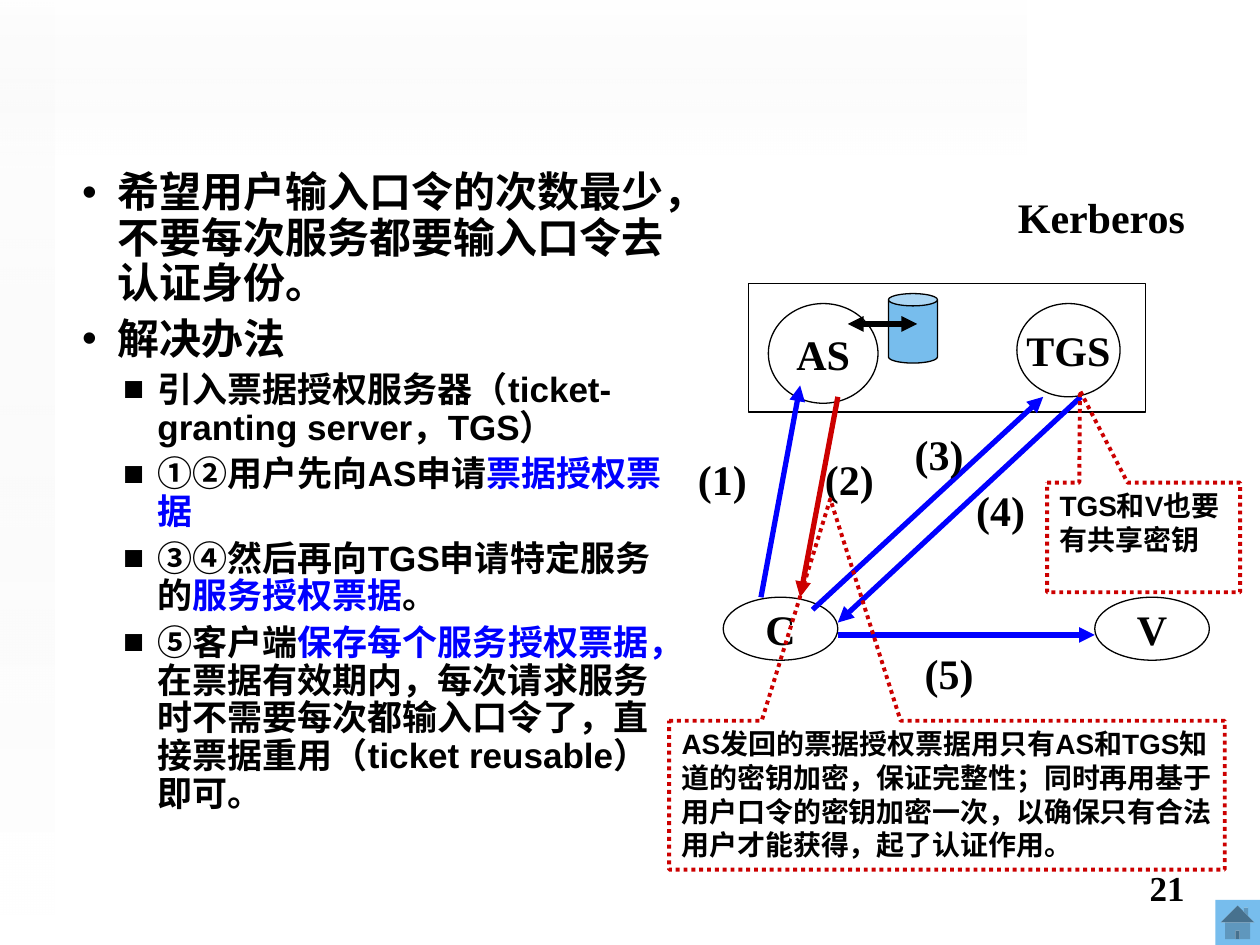
import pptx
import pptx.util
import pptx.dml.color
import pptx.enum.dml
import pptx.enum.lang
import pptx.enum.shapes
import pptx.enum.text
import pptx.oxml
import pptx.oxml.ns
from dataclasses import dataclass

Cm, Pt = pptx.util.Cm, pptx.util.Pt
Kind = pptx.enum.shapes.MSO_SHAPE
Align = pptx.enum.text.PP_ALIGN
Anchor = pptx.enum.text.MSO_ANCHOR
qn = pptx.oxml.ns.qn


@dataclass(frozen=True)
class Theme:
    black: str = "000000"
    white: str = "FFFFFF"
    gray: str = "EAEAEA"
    blue: str = "0000FF"
    red: str = "CC0000"
    sky: str = "77BDED"
    sans: str = "Arial"
    serif: str = "Times New Roman"
    big: int = 24
    mid: int = 20
    small: int = 16
    thin: float = 0.75
    dot: float = 2.25
    thick: float = 3


T = Theme()
POINTS = [
    (0, [("希望用户输入口令的次数最少，不要每次服务都要输入口令去认证身份。", T.black)]),
    (0, [("解决办法", T.black)]),
    (1, [("引入票据授权服务器（ticket-granting server，TGS）", T.black)]),
    (1, [("①②用户先向AS申请", T.black), ("票据授权票据", T.blue)]),
    (1, [("③④然后再向TGS申请特定服务的", T.black), ("服务授权票据", T.blue),
         ("。", T.black)]),
    (1, [("⑤客户端", T.black), ("保存每个服务授权票据，", T.blue),
         ("在票据有效期内，每次请求服务时不需要每次都输入口令了，"
          "直接票据重用（ticket reusable）即可。", T.black)]),
]


def rgb(code):
    return pptx.dml.color.RGBColor.from_string(code)


def node(tag, **attrs):
    item = pptx.oxml.parse_xml(f"<a:{tag} {pptx.oxml.ns.nsdecls('a')}/>")
    for key, val in attrs.items():
        item.set(key, val)
    return item


def apply(target, form):
    for key, val in form.items():
        setattr(target, key, val)


def span(box, left, top, wide, high):
    """Lengths of a part placed relative to the corner of box."""
    return Cm(box[0] + left), Cm(box[1] + top), Cm(wide), Cm(high)


def write(para, text, size, face, color=T.black):
    run = para.add_run()
    run.text = text
    apply(run.font, {"size": Pt(size), "name": face, "bold": True,
                     "language_id": pptx.enum.lang.MSO_LANGUAGE_ID.SIMPLIFIED_CHINESE})
    run.font.color.rgb = rgb(color)


def shape(slide, kind, place, fill=None, line=None, width=T.thin):
    item = slide.shapes.add_shape(kind, *place)
    item.shadow.inherit = False
    if fill:
        item.fill.solid()
        item.fill.fore_color.rgb = rgb(fill)
    else:
        item.fill.background()
    if line:
        item.line.color.rgb = rgb(line)
        item.line.width = Pt(width)
    else:
        item.line.fill.background()
    return item


def label(slide, place, text, size=T.big, align=Align.LEFT, wrap=False):
    frame = slide.shapes.add_textbox(*place).text_frame
    frame.word_wrap = wrap
    frame.paragraphs[0].alignment = align
    write(frame.paragraphs[0], text, size, T.serif)


def oval(slide, place, text, fill=None):
    frame = shape(slide, Kind.OVAL, place, fill, T.black).text_frame
    apply(frame, {"word_wrap": False, "vertical_anchor": Anchor.MIDDLE})
    frame.paragraphs[0].alignment = Align.CENTER
    write(frame.paragraphs[0], text, T.big, T.serif)


def arrow(slide, box, start, end, color, both=False):
    ends = [Cm(box[i] + point[i]) for point in (start, end) for i in (0, 1)]
    item = slide.shapes.add_connector(pptx.enum.shapes.MSO_CONNECTOR.STRAIGHT, *ends)
    item.line.color.rgb = rgb(color)
    item.line.width = Pt(T.thick)
    props = item.element.spPr
    for tag in ["headEnd", "tailEnd"] if both else ["tailEnd"]:
        props.find(qn("a:ln")).append(node(tag, type="triangle"))
    props.append(node("effectLst"))


def band(slide, box, turn, angle, alpha):
    """Faint gradient strip along a slide edge."""
    item = shape(slide, Kind.RECTANGLE, span(box, 0, 0, *box[2:]))
    item.rotation = turn
    item.fill.gradient()
    item.fill.gradient_angle = angle
    for stop, color in zip(item.fill.gradient_stops, (T.gray, T.white)):
        stop.color.rgb = rgb(color)
    colors = item.element.spPr.find(qn("a:gradFill")).iter(qn("a:srgbClr"))
    for color, part in zip(colors, (0, alpha)):
        color.append(node("alpha", val=str(part * 1000)))


def body(slide, box):
    """Bulleted text on the left."""
    holder = slide.placeholders[1]
    apply(holder, dict(zip(("left", "top", "width", "height"),
                           span(box, 0, 0, *box[2:]))))
    frame = holder.text_frame
    apply(frame, {"word_wrap": True, "auto_size": pptx.enum.text.MSO_AUTO_SIZE.NONE})
    looks = [("•", T.big, 1.02, -0.71, 6), ("■", T.mid, 1.83, -0.69, 5)]
    for i, (level, runs) in enumerate(POINTS):
        mark, size, left, hang, gap = looks[level]
        para = frame.add_paragraph() if i else frame.paragraphs[0]
        apply(para, {"level": level, "line_spacing": 0.9,
                     "space_before": Pt(gap if i else 0)})
        props = para._p.get_or_add_pPr()
        props.set("marL", str(Cm(left)))
        props.set("indent", str(Cm(hang)))
        tint = node("buClr")
        tint.append(node("srgbClr", val=T.black))
        for part in (tint, node("buFont", typeface=T.sans), node("buChar", char=mark)):
            props.append(part)
        for text, color in runs:
            write(para, text, size, T.sans, color)


def flow(slide, box):
    """Message flow between client, servers and service."""
    shape(slide, Kind.RECTANGLE, span(box, 1.29, 2.02, 8, 2.59), T.white, T.black)
    for text, left in (("C", 0.78), ("V", 8.27)):
        oval(slide, span(box, left, 8.34, 2.31, 1.27), text, T.white)
    oval(slide, span(box, 1.69, 2.42, 2.21, 2.01), "AS")
    oval(slide, span(box, 6.7, 2.42, 2.08, 1.88), "TGS")
    # Numbered messages: start, end, colour, label corner
    steps = [
        ((1.54, 8.34), (2.33, 4.07), T.blue, (0.02, 5.32)),
        ((3.09, 4.3), (2.33, 8.34), T.red, (2.58, 5.32)),
        ((2.58, 8.59), (7.23, 4.3), T.blue, (4.39, 4.81)),
        ((7.99, 4.3), (3.09, 8.85), T.blue, (5.63, 5.95)),
        ((3.09, 9.1), (8.27, 9.1), T.blue, (4.59, 9.23)),
    ]
    for num, (start, end, color, spot) in enumerate(steps, 1):
        arrow(slide, box, start, end, color)
        label(slide, span(box, *spot, 1.5, 1.27), f"({num})")
    label(slide, span(box, 6.47, 0.03, 5.13, 1.27), "Kerberos", wrap=True)
    # Key store
    shape(slide, Kind.CAN, span(box, 4.11, 2.22, 0.99, 1.4), T.sky, T.black)
    arrow(slide, box, (3.29, 2.83), (4.69, 2.83), T.black, both=True)


def note(slide, box, tip, text):
    """Dotted callout; tip is its pointer offset."""
    item = shape(slide, Kind.RECTANGULAR_CALLOUT, span(box, 0, 0, *box[2:]),
                 line=T.red, width=T.dot)
    item.line.dash_style = pptx.enum.dml.MSO_LINE.ROUND_DOT
    for i, val in enumerate(tip):
        item.adjustments[i] = val
    frame = item.text_frame
    apply(frame, {"word_wrap": True, "vertical_anchor": Anchor.TOP})
    frame.paragraphs[0].alignment = Align.LEFT
    write(frame.paragraphs[0], text, T.small, T.sans)


def main():
    deck = pptx.Presentation()
    apply(deck, {"slide_width": Cm(25.4), "slide_height": Cm(19.05)})
    slide = deck.slides.add_slide(deck.slide_layouts[1])
    title = slide.shapes.title.element
    title.getparent().remove(title)
    # Edges and home button
    band(slide, (8.79, -8.79, 3.12, 20.7), 90, 0, 49)
    band(slide, (0, 0, 1.09, 18.44), 180, 90, 65)
    shape(slide, Kind.ACTION_BUTTON_HOME, span((24.5, 18.14), 0, 0, 0.9, 0.91), T.sky)
    # Content
    body(slide, (1.09, 3.33, 12.6, 13.59))
    flow(slide, (13.8, 3.7))
    note(slide, (13.49, 14.53, 11.2, 3), (-0.21, -1.99),
         "AS发回的票据授权票据用只有AS和TGS知道的密钥加密，保证完整性；"
         "同时再用基于用户口令的密钥加密一次，以确保只有合法用户才能获得，起了认证作用。")
    note(slide, (21.11, 9.73, 3.89, 2.21), (-0.33, -1.34), "TGS和V也要有共享密钥")
    label(slide, span((18.21, 17.35), 0, 0, 5.92, 1.32), "21", T.mid, Align.RIGHT, True)
    deck.save("out.pptx")


if __name__ == "__main__":
    main()
